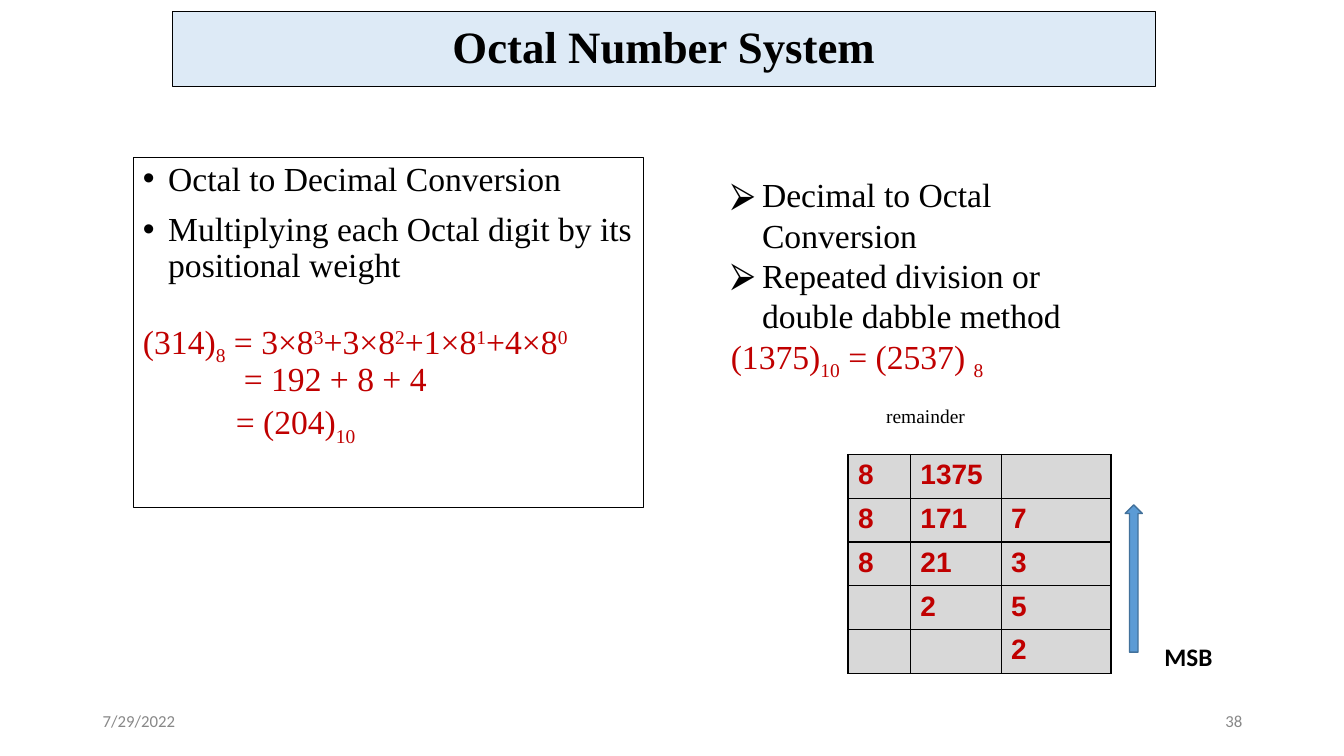
from dataclasses import dataclass, field

from lxml import etree
from pptx import Presentation
from pptx.dml.color import RGBColor
from pptx.enum.shapes import MSO_SHAPE
from pptx.enum.text import MSO_ANCHOR, PP_ALIGN
from pptx.oxml.ns import qn
from pptx.shapes.autoshape import Shape
from pptx.slide import Slide
from pptx.table import _Cell
from pptx.text.text import TextFrame, _Paragraph
from pptx.util import Inches, Pt

BLACK = RGBColor(0x00, 0x00, 0x00)
RED = RGBColor(0xC0, 0x00, 0x00)
GREY = RGBColor(0x88, 0x88, 0x88)
PALE_BLUE = RGBColor(0xDD, 0xEA, 0xF6)
CELL_GREY = RGBColor(0xD8, 0xD8, 0xD8)
ARROW_BLUE = RGBColor(0x5B, 0x9B, 0xD5)
ARROW_EDGE = RGBColor(0x42, 0x71, 0x9B)

RECTANGLE, UP_ARROW = MSO_SHAPE.RECTANGLE, MSO_SHAPE.UP_ARROW
TOP, MIDDLE = MSO_ANCHOR.TOP, MSO_ANCHOR.MIDDLE
LEFT, CENTER, RIGHT = PP_ALIGN.LEFT, PP_ALIGN.CENTER, PP_ALIGN.RIGHT

SERIF, SANS, FOOTER_FONT = "Times New Roman", "Arial", "Calibri"
SUB, SUPER = -25, 30
Box = tuple[float, float, float, float]


@dataclass(frozen=True)
class Piece:
    text: str
    baseline: int = 0


@dataclass(frozen=True)
class Line:
    pieces: list[Piece]
    color: RGBColor = BLACK
    size: float = 24
    font: str = SERIF
    bold: bool = False
    bullet: str = ""
    indent: float = 0
    format: dict[str, object] = field(default_factory=dict)


TIGHT = {"line_spacing": 0.9}
FORMULA = [
    Piece("(314)"), Piece("8", SUB),
    Piece(" = 3×8"), Piece("3", SUPER),
    Piece("+3×8"), Piece("2", SUPER),
    Piece("+1×8"), Piece("1", SUPER),
    Piece("+4×8"), Piece("0", SUPER),
]
TO_DECIMAL = [
    Line([Piece("Octal to Decimal Conversion")], bullet="•", indent=0.25, format=TIGHT),
    Line([Piece("Multiplying each Octal digit by its positional weight")],
         bullet="•", indent=0.25, format=TIGHT | {"space_before": Pt(10)}),
    Line(FORMULA, RED, format=TIGHT | {"space_before": Pt(26)}),
    Line([Piece("= 192 + 8 + 4")], RED, indent=1, format=TIGHT),
    Line([Piece("= (204)"), Piece("10", SUB)], RED, indent=0.92,
         format=TIGHT | {"space_before": Pt(2)}),
]
TO_OCTAL = [
    Line([Piece("Decimal to Octal Conversion")], bullet="⮚", indent=0.31),
    Line([Piece("Repeated division or double dabble method")], bullet="⮚", indent=0.31),
    Line([Piece("(1375)"), Piece("10", SUB), Piece(" = (2537) "), Piece("8", SUB)], RED),
    Line([Piece("remainder", SUB)], indent=1.54),
]
DIVISIONS = [
    ("8", "1375", ""),
    ("8", "171", "7"),
    ("8", "21", "3"),
    ("", "2", "5"),
    ("", "", "2"),
]
COLUMN_WIDTHS = (0.62, 0.9, 1.09)
ROW_HEIGHT = 0.43


def set_indent(paragraph: _Paragraph, line: Line) -> None:
    properties = paragraph._p.get_or_add_pPr()
    properties.set("marL", str(Inches(line.indent)))
    properties.set("indent", str(-Inches(line.indent) if line.bullet else 0))
    if line.bullet:
        color = etree.SubElement(properties, qn("a:buClr"))
        etree.SubElement(color, qn("a:srgbClr"), val=str(BLACK))
        etree.SubElement(properties, qn("a:buFont"), typeface=SANS)
        etree.SubElement(properties, qn("a:buChar"), char=line.bullet)


def write_lines(frame: TextFrame, lines: list[Line], anchor: MSO_ANCHOR = TOP) -> None:
    frame.word_wrap = True
    frame.vertical_anchor = anchor
    for number, line in enumerate(lines):
        paragraph = frame.add_paragraph() if number else frame.paragraphs[0]
        set_indent(paragraph, line)
        for name, value in ({"alignment": LEFT} | line.format).items():
            setattr(paragraph, name, value)
        for piece in line.pieces:
            run = paragraph.add_run()
            run.text = piece.text
            run.font.color.rgb = line.color
            font_format = {"name": line.font, "size": Pt(line.size), "bold": line.bold}
            for name, value in font_format.items():
                setattr(run.font, name, value)
            if piece.baseline:
                run._r.get_or_add_rPr().set("baseline", str(piece.baseline * 1000))


def add_text(slide: Slide, box: Box, lines: list[Line], anchor: MSO_ANCHOR = TOP) -> None:
    text_box = slide.shapes.add_textbox(*map(Inches, box))
    write_lines(text_box.text_frame, lines, anchor)


def add_outlined(slide: Slide, preset: MSO_SHAPE, box: Box, fill: RGBColor | None,
                 edge: RGBColor, width: float) -> Shape:
    shape = slide.shapes.add_shape(preset, *map(Inches, box))
    shape.shadow.inherit = False
    if fill is None:
        shape.fill.background()
    else:
        shape.fill.solid()
        shape.fill.fore_color.rgb = fill
    shape.line.color.rgb = edge
    shape.line.width = Pt(width)
    return shape


def style_cell(cell: _Cell) -> None:
    """Give the cell black borders on all sides and a grey fill."""
    properties = cell._tc.get_or_add_tcPr()
    for side in ("a:lnL", "a:lnR", "a:lnT", "a:lnB"):
        border = etree.SubElement(properties, qn(side), w=str(Pt(1)))
        solid = etree.SubElement(border, qn("a:solidFill"))
        etree.SubElement(solid, qn("a:srgbClr"), val=str(BLACK))
    cell.fill.solid()
    cell.fill.fore_color.rgb = CELL_GREY


def add_division_table(slide: Slide) -> None:
    box = (8.41, 4.51, sum(COLUMN_WIDTHS), ROW_HEIGHT * len(DIVISIONS))
    table = slide.shapes.add_table(
        len(DIVISIONS), len(COLUMN_WIDTHS), *map(Inches, box)).table
    table.first_row = table.horz_banding = False
    for column, width in zip(table.columns, COLUMN_WIDTHS):
        column.width = Inches(width)
    for row, values in zip(table.rows, DIVISIONS):
        row.height = Inches(ROW_HEIGHT)
        for cell, value in zip(row.cells, values):
            style_cell(cell)
            if value:
                write_lines(cell.text_frame, [Line([Piece(value)], RED, 20, SANS, True)])


def main() -> None:
    presentation = Presentation()
    presentation.slide_width = Inches(13.33)
    presentation.slide_height = Inches(7.5)
    slide = presentation.slides.add_slide(presentation.slide_layouts[6])

    title = add_outlined(slide, RECTANGLE, (1.71, 0.11, 9.75, 0.75), PALE_BLUE, BLACK, 0.75)
    write_lines(title.text_frame, [
        Line([Piece("Octal Number System")], size=32, bold=True,
             format=TIGHT | {"alignment": CENTER})], MIDDLE)
    to_decimal = add_outlined(slide, RECTANGLE, (1.32, 1.56, 5.06, 3.48), None, BLACK, 0.75)
    write_lines(to_decimal.text_frame, TO_DECIMAL)

    for left, text, alignment in ((0.92, "7/29/2022", LEFT), (9.42, "38", RIGHT)):
        add_text(slide, (left, 6.95, 3, 0.4), [
            Line([Piece(text)], GREY, 12, FOOTER_FONT,
                 format={"alignment": alignment})], MIDDLE)

    add_text(slide, (7.15, 1.68, 4.18, 2.93), TO_OCTAL)
    add_division_table(slide)
    add_outlined(slide, UP_ARROW, (11.16, 5.01, 0.17, 1.46), ARROW_BLUE, ARROW_EDGE, 1)
    add_text(slide, (11.45, 6.31, 0.83, 0.4),
             [Line([Piece("MSB")], size=18, font=FOOTER_FONT, bold=True)])
    presentation.save("out.pptx")


if __name__ == "__main__":
    main()
